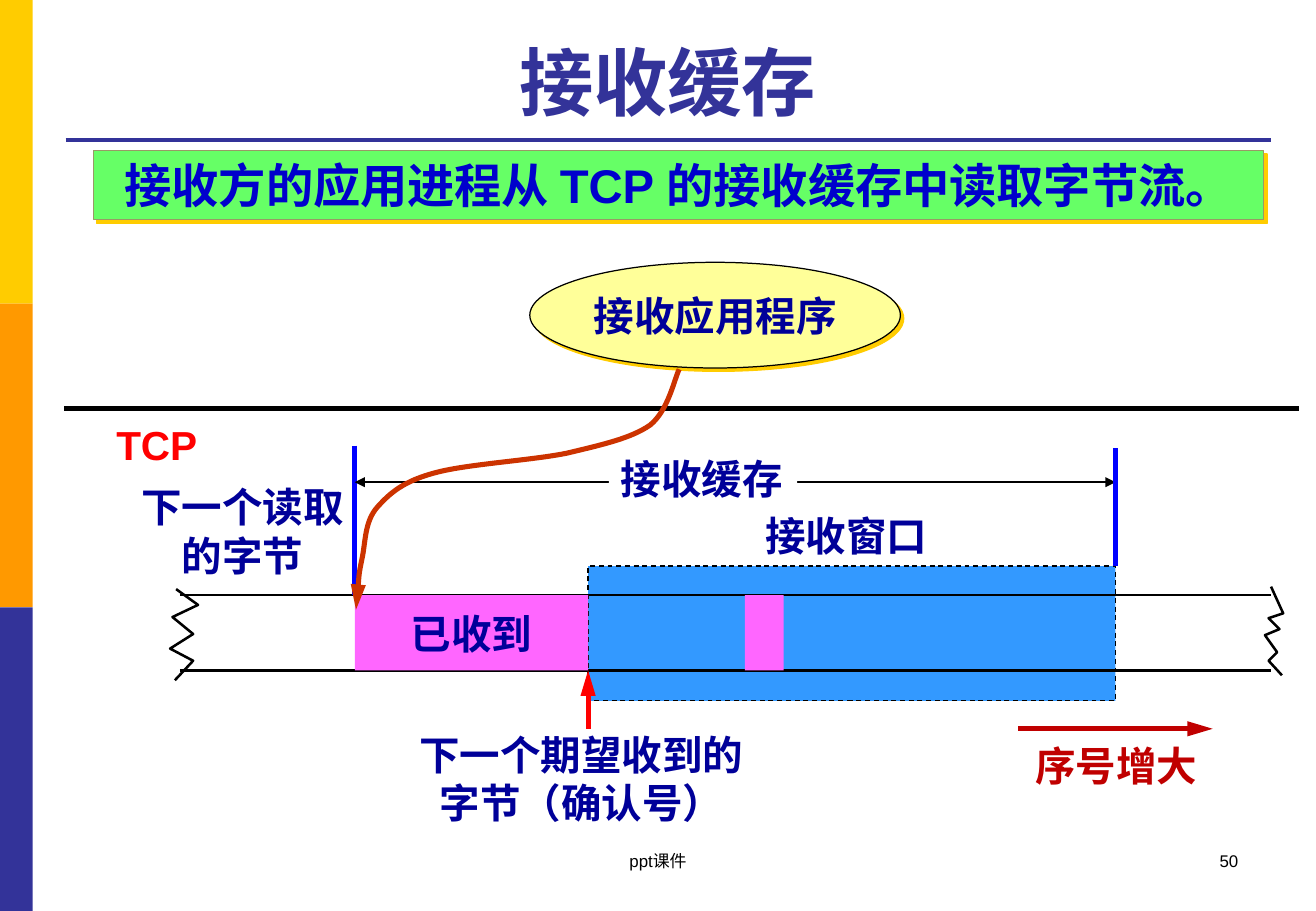
from dataclasses import dataclass

from lxml.etree import SubElement
from pptx import Presentation
from pptx.dml.color import RGBColor
from pptx.enum.dml import MSO_LINE_DASH_STYLE as Dash
from pptx.enum.lang import MSO_LANGUAGE_ID as Language
from pptx.enum.shapes import MSO_CONNECTOR_TYPE as Connector, MSO_SHAPE as Preset
from pptx.enum.text import MSO_ANCHOR as Anchor, PP_ALIGN as Align
from pptx.oxml.ns import qn
from pptx.slide import Slide
from pptx.text.text import TextFrame
from pptx.util import Inches, Pt

COLOURS = {
    "white": "FFFFFF", "black": "000000", "gold": "FFCC00", "orange": "FF9900",
    "indigo": "333399", "window": "3399FF", "cream": "FFFF99", "pink": "FF66FF",
    "navy": "000099", "blue": "0000FF", "red": "FF0000", "rust": "CC3300",
    "crimson": "C00000", "green": "66FF66", "olive": "999966", "ink": "0000CC",
}


@dataclass
class Box:
    left: float
    top: float
    width: float
    height: float
    fill: str = ""
    line: str = ""
    text: str = ""
    colour: str = "navy"
    size: int = 24
    bold: bool = True
    align: Align = Align.CENTER
    anchor: Anchor = Anchor.TOP
    preset: Preset = Preset.RECTANGLE
    dashed: bool = False
    shadow: bool = False


@dataclass
class Line:
    start: tuple[float, float]
    end: tuple[float, float]
    colour: str = "black"
    width: float = 3
    head: bool = False
    tail: bool = False
    length: str = "lg"


@dataclass
class Outline:
    points: list[tuple[float, float]]
    colour: str = "black"
    width: float = 1.5
    curved: bool = False


def rgb(name: str) -> RGBColor:
    return RGBColor.from_string(COLOURS[name])


def write(frame: TextFrame, text: str, colour: str, size: int, bold: bool, align: Align) -> None:
    frame.text = text
    for para in frame.paragraphs:
        para.alignment = align
        for span in para.runs:
            font = span.font
            font.name, font.size, font.bold = "Arial", Pt(size), bold
            font.color.rgb = rgb(colour)
            font.language_id = Language.SIMPLIFIED_CHINESE


def add_arrowhead(shape, end: str, length: str) -> None:
    SubElement(shape.line._get_or_add_ln(), qn(f"a:{end}"), type="triangle", w="med", len=length)


def add_shadow(shape) -> None:
    effects = shape._element.spPr.find(qn("a:effectLst"))
    outer = SubElement(effects, qn("a:outerShdw"), dist=str(Pt(2.8)), dir="2700000",
                       algn="ctr", rotWithShape="0")
    SubElement(outer, qn("a:srgbClr"), val=COLOURS["gold"])


def draw_box(page: Slide, box: Box) -> None:
    place = [Inches(v) for v in (box.left, box.top, box.width, box.height)]
    if box.fill:
        shape = page.shapes.add_shape(box.preset, *place)
        shape.shadow.inherit = False
        shape.fill.solid()
        shape.fill.fore_color.rgb = rgb(box.fill)
        if box.line:
            shape.line.color.rgb = rgb(box.line)
            shape.line.width = Pt(0.75)
        else:
            shape.line.fill.background()
        if box.dashed:
            shape.line.dash_style = Dash.DASH
        if box.shadow:
            add_shadow(shape)
    else:
        shape = page.shapes.add_textbox(*place)
    if box.text:
        frame = shape.text_frame
        frame.word_wrap = False
        frame.vertical_anchor = box.anchor
        write(frame, box.text, box.colour, box.size, box.bold, box.align)


def draw_line(page: Slide, line: Line) -> None:
    ends = [Inches(v) for v in (*line.start, *line.end)]
    shape = page.shapes.add_connector(Connector.STRAIGHT, *ends)
    shape.line.color.rgb = rgb(line.colour)
    shape.line.width = Pt(line.width)
    if line.head:
        add_arrowhead(shape, "headEnd", line.length)
    if line.tail:
        add_arrowhead(shape, "tailEnd", line.length)
    SubElement(shape._element.spPr, qn("a:effectLst"))


def draw_outline(page: Slide, outline: Outline) -> None:
    start, *others = [(Inches(x), Inches(y)) for x, y in outline.points]
    builder = page.shapes.build_freeform(*start)
    builder.add_line_segments(others, close=False)
    shape = builder.convert_to_shape()
    shape.shadow.inherit = False
    shape.fill.background()
    shape.line.color.rgb = rgb(outline.colour)
    shape.line.width = Pt(outline.width)
    if outline.curved:
        steps = list(shape._element.iter(qn("a:lnTo")))
        track = steps[0].getparent()
        for first in range(0, len(steps), 3):
            curve = SubElement(track, qn("a:cubicBezTo"))
            for step in steps[first:first + 3]:
                curve.append(step[0])
                track.remove(step)
        add_arrowhead(shape, "tailEnd", "lg")


BUFFER_LEFT, WINDOW_LEFT, BUFFER_RIGHT = 2.92, 4.84, 9.18
TRACK_TOP, TRACK_BOTTOM = 4.9, 5.52
TRACK_HEIGHT = TRACK_BOTTOM - TRACK_TOP

BACKDROP = [
    *[Box(0, 2.5 * row, 0.27, 2.5, fill) for row, fill in enumerate(("gold", "orange", "indigo"))],
    Box(WINDOW_LEFT, 4.66, BUFFER_RIGHT - WINDOW_LEFT, 1.11, "window", "black", dashed=True),
    Box(4.36, 2.16, 3.05, 0.87, "cream", "black", "接收应用程序", anchor=Anchor.MIDDLE,
        preset=Preset.OVAL, shadow=True),
]
LINES = [
    Line((0.54, 1.15), (10.46, 1.15), "indigo", 2.25),
    Line((0.53, 3.36), (10.69, 3.36)),
    *[Line((1.48, y), (10.46, y), width=1.5) for y in (TRACK_TOP, TRACK_BOTTOM)],
    Line((BUFFER_LEFT, 3.67), (BUFFER_LEFT, TRACK_TOP), "blue"),
    Line((BUFFER_LEFT, 3.97), (BUFFER_RIGHT, 3.97), width=1.5, head=True, tail=True, length="med"),
    Line((BUFFER_RIGHT, 3.69), (BUFFER_RIGHT, 4.66), "blue"),
    Line((8.38, 6), (9.98, 6), "crimson", tail=True),
]
LABELS = [
    Box(BUFFER_LEFT, TRACK_TOP, WINDOW_LEFT - BUFFER_LEFT, TRACK_HEIGHT, "pink", text="已收到",
        anchor=Anchor.MIDDLE),
    Box(6.13, TRACK_TOP, 0.32, TRACK_HEIGHT, "pink"),
    Box(6.2, 4.16, 1.55, 0.5, text="接收窗口", align=Align.LEFT),
    Box(0.85, 3.41, 0.88, 0.51, text="TCP", colour="red"),
    Box(5.01, 3.69, 1.55, 0.5, "white", text="接收缓存", align=Align.LEFT),
    Box(1.05, 3.92, 1.89, 0.91, text="下一个读取\n的字节"),
    Box(8.41, 6.05, 1.55, 0.51, text="序号增大", colour="crimson"),
    Box(3.34, 5.96, 2.89, 0.91, text="下一个期望收到的\n字节（确认号）"),
    Box(0.77, 1.24, 9.63, 0.57, "green", "olive", "接收方的应用进程从 TCP 的接收缓存中读取字节流。",
        "ink", 28, shadow=True),
    Box(7.76, 6.95, 2.53, 0.5, text="50", colour="black", size=10, bold=False, align=Align.RIGHT),
    Box(3.7, 6.95, 3.43, 0.5, text="ppt课件", colour="black", size=10, bold=False),
]
ACK_ARROW = Line((WINDOW_LEFT, 6), (WINDOW_LEFT, TRACK_BOTTOM), "red", tail=True)
OUTLINES = [
    Outline([(5.59, 3.04), (5.55, 3.12), (5.5, 3.38), (5.35, 3.5), (5.19, 3.61), (4.96, 3.66),
             (4.67, 3.73), (4.38, 3.79), (3.85, 3.82), (3.59, 3.89), (3.32, 3.96), (3.21, 4.06),
             (3.11, 4.17), (3, 4.29), (3.01, 4.46), (2.98, 4.6), (2.95, 4.74), (2.94, 4.93),
             (2.93, 5.02)], "rust", 3, curved=True),
    Outline([(10.46, 4.83), (10.56, 5.05), (10.44, 5.09), (10.53, 5.18), (10.41, 5.23),
             (10.51, 5.37), (10.44, 5.44), (10.55, 5.56)]),
    Outline([(1.45, 4.85), (1.63, 4.98), (1.42, 5.08), (1.59, 5.22), (1.4, 5.34), (1.59, 5.44),
             (1.44, 5.6)]),
]


def main() -> None:
    deck = Presentation()
    deck.slide_width, deck.slide_height = Inches(10.83), Inches(7.5)
    page = deck.slides.add_slide(deck.slide_layouts[5])
    title = page.shapes.title
    title.left, title.top, title.width, title.height = map(Inches, (0.54, 0.21, 9.91, 0.87))
    title.text_frame.vertical_anchor = Anchor.BOTTOM
    write(title.text_frame, "接收缓存", "indigo", 44, True, Align.CENTER)
    for box in BACKDROP:
        draw_box(page, box)
    for line in LINES:
        draw_line(page, line)
    for box in LABELS:
        draw_box(page, box)
    draw_line(page, ACK_ARROW)
    for outline in OUTLINES:
        draw_outline(page, outline)
    deck.save("out.pptx")


if __name__ == "__main__":
    main()
